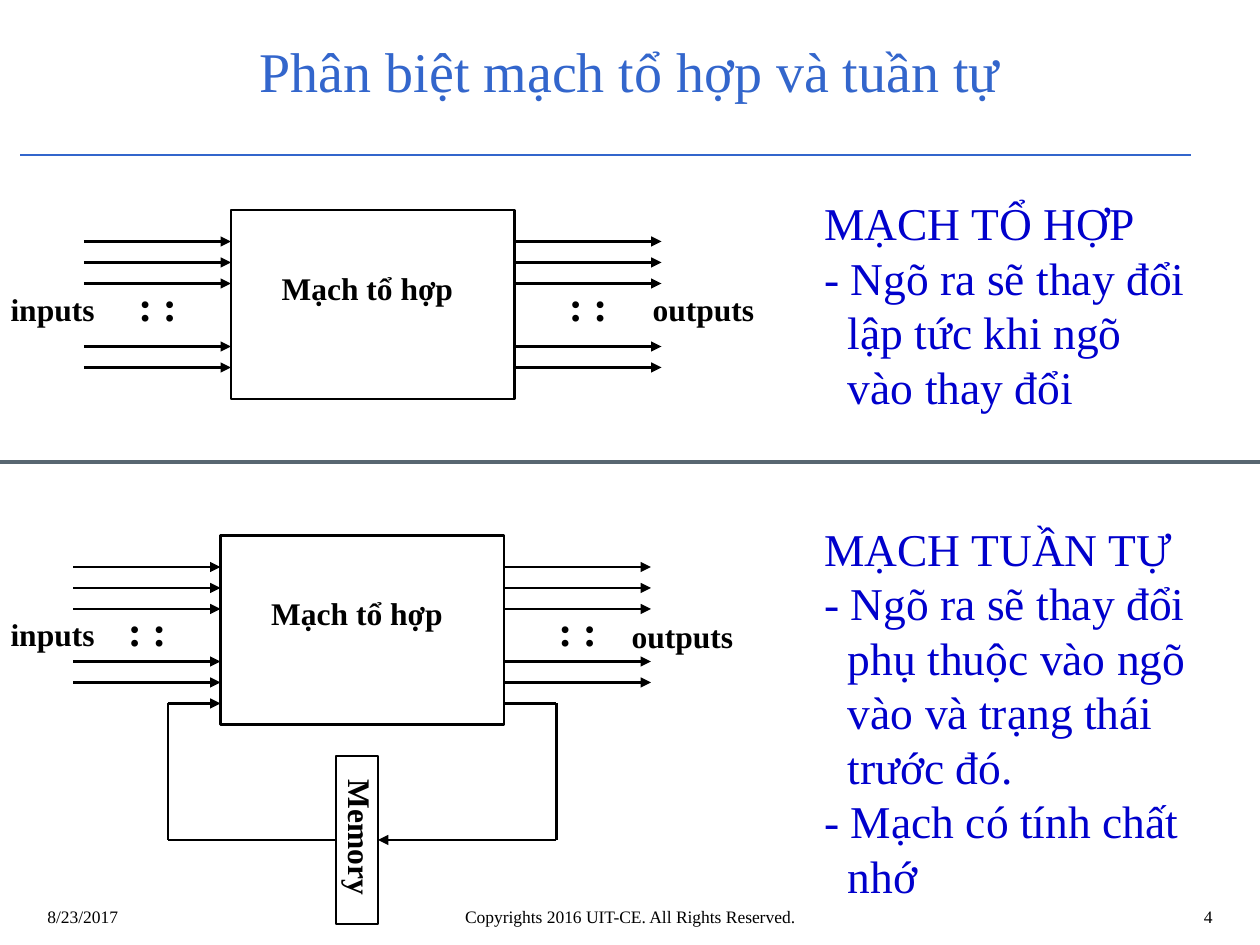
"""Build a slide that contrasts combinational and sequential circuits."""
from lxml.etree import SubElement
from pptx import Presentation
from pptx.dml.color import RGBColor as RGB
from pptx.enum.shapes import MSO_CONNECTOR as LINK, MSO_SHAPE as SHAPE
from pptx.enum.text import MSO_ANCHOR as ANCHOR, PP_ALIGN as ALIGN
from pptx.oxml.ns import qn
from pptx.util import Pt

FONT = "Times New Roman"
HUE = {"title": "3366CC", "ink": "000000", "note": "0000CC", "split": "586771"}
SIDE = {"l": ALIGN.LEFT, "c": ALIGN.CENTER, "r": ALIGN.RIGHT}

TITLE = "Phân biệt mạch tổ hợp và tuần tự"
LABEL = "Mạch tổ hợp"
UNITS = [
    {"at": (132, 120), "rows": (18, 30, 42, 78, 90), "out": (360, 162)},
    {"at": (126, 306), "rows": (18, 30, 42, 72, 84), "out": (348, 349)},
]
NOTES = [
    (108, 133, ["MẠCH TỔ HỢP",
                "- Ngõ ra sẽ thay đổi lập tức khi ngõ vào thay đổi"]),
    (294, 227.5, ["MẠCH TUẦN TỰ",
                  "- Ngõ ra sẽ thay đổi phụ thuộc vào ngõ vào và trạng thái trước đó.",
                  "- Mạch có tính chất nhớ"]),
]
FOOT = [
    ("8/23/2017", 20, 168, "l"),
    ("Copyrights 2016 UIT-CE. All Rights Reserved.", 139, 442, "c"),
    ("4", 562, 138, "r"),
]
WIDE, HIGH, WIRE = 162, 108, 84
LOOP = {"left": 96, "right": 318, "top": 402, "low": 480}

deck = Presentation()
deck.slide_width, deck.slide_height = Pt(720), Pt(540)
slide = deck.slides.add_slide(deck.slide_layouts[6])
shapes = slide.shapes


def text(words, x, y, w, h, size=18, hue="ink", bold=False, side="l",
         mid=False, turn=0, hang=0):
    box = shapes.add_textbox(Pt(x), Pt(y), Pt(w), Pt(h))
    box.rotation = turn
    frame = box.text_frame
    frame.word_wrap = True
    if mid:
        frame.vertical_anchor = ANCHOR.MIDDLE
    for i, line in enumerate([words] if isinstance(words, str) else words):
        para = frame.paragraphs[0] if i == 0 else frame.add_paragraph()
        para.alignment = SIDE[side]
        if hang and i:
            props = para._p.get_or_add_pPr()
            props.set("marL", str(Pt(hang)))
            props.set("indent", str(-Pt(hang)))
        run = para.add_run()
        run.text = line
        run.font.name, run.font.size, run.font.bold = FONT, Pt(size), bold
        run.font.color.rgb = RGB.from_string(HUE[hue])


def block(x, y, w, h):
    box = shapes.add_shape(SHAPE.RECTANGLE, Pt(x), Pt(y), Pt(w), Pt(h))
    box.shadow.inherit = False
    box.fill.background()
    box.line.color.rgb = RGB.from_string(HUE["ink"])
    box.line.width = Pt(1.5)
    return box


def wire(x1, y1, x2, y2, hue="ink", width=1.25, tip=False):
    link = shapes.add_connector(LINK.STRAIGHT, Pt(x1), Pt(y1), Pt(x2), Pt(y2))
    link.line.color.rgb = RGB.from_string(HUE[hue])
    link.line.width = Pt(width)
    if tip:
        SubElement(link.line._get_or_add_ln(), qn("a:tailEnd"), type="triangle")
    SubElement(link._element.spPr, qn("a:effectLst"))
    return link


def unit(at, rows, out):
    x, y = at
    block(x, y, WIDE, HIGH)
    text(LABEL, x + 6, y + 30, 144, 29, bold=True, side="c")
    for start in (x - WIRE, x + WIDE):
        for row in rows:
            wire(start, y + row, start + WIRE, y + row, tip=True)
        text(": :", start + 24, y + 36, 48, 36, size=24, bold=True)
    text("inputs", -12, y + 42, WIRE, 29, bold=True, side="c")
    text("outputs", *out, WIRE, 29, bold=True, side="c")


def memory(x, y):
    left, right, top, low = LOOP.values()
    store = block(192, 432, 24, 96)
    text("Memory", 161, 469, 90, 29, bold=True, turn=90)
    for side in (left, right):
        wire(side, top, side, low)
    wire(right, top, x + WIDE, top)
    wire(left, top, x, top, tip=True)
    wire(192, low, left, low).begin_connect(store, 1)
    wire(right, low, 216, low, tip=True).end_connect(store, 3)


wire(11.5, 88.5, 680.5, 88.5, hue="title", width=0.75)
text(TITLE, 36, 12, 648, 56, size=32, hue="title", side="c", mid=True)
for part in UNITS:
    unit(**part)
memory(*UNITS[1]["at"])
wire(0, 264, 720, 264, hue="split", width=2.25)
for y, h, lines in NOTES:
    text(lines, 464, y, 222, h, size=26, hue="note", hang=13.5)
for words, x, w, side in FOOT:
    text(words, x, 514, w, 23, size=10, side=side)

deck.save("out.pptx")
